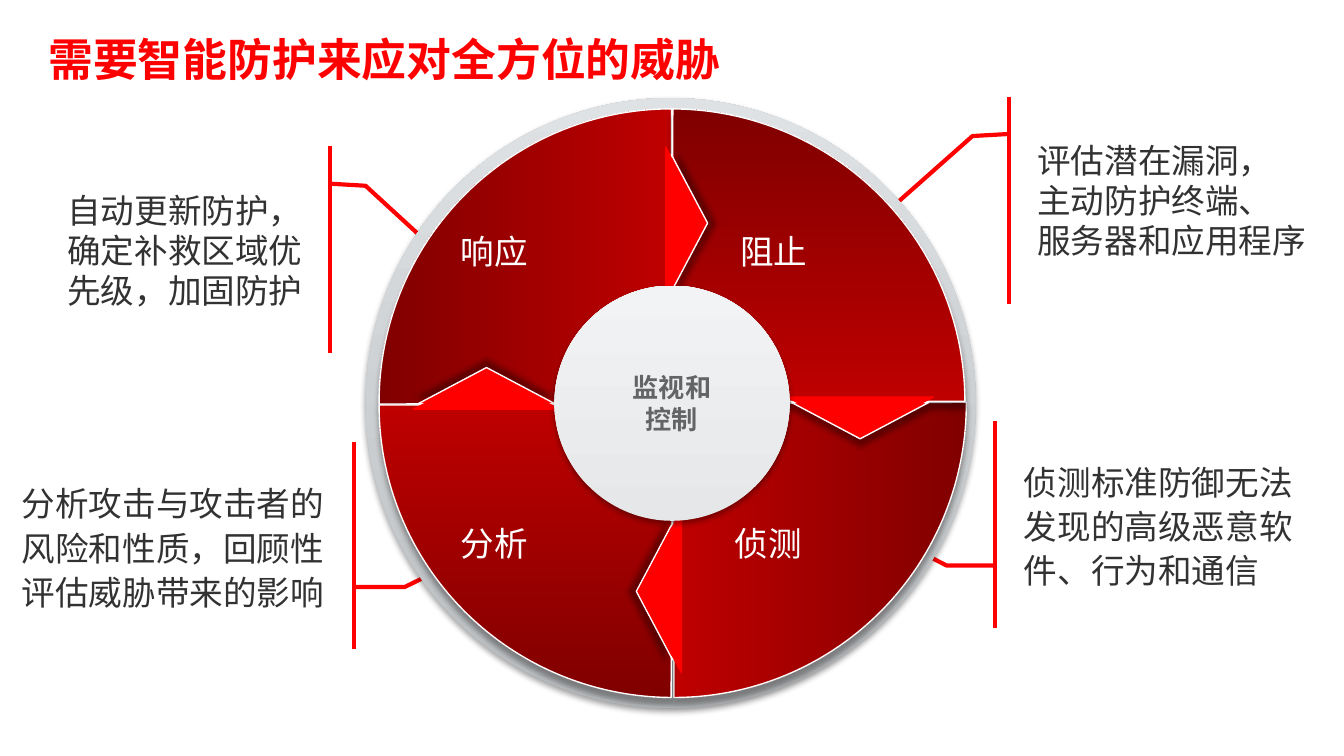
from math import cos, radians, sin

from lxml import etree
from pptx import Presentation
from pptx import util as u
from pptx.dml.color import RGBColor
from pptx.enum import shapes, text
from pptx.oxml.ns import qn

FONT = "Noto Sans CJK SC"
COLORS = {
    "red": "FF0000", "dark_red": "800000", "white": "FFFFFF", "body": "323233",
    "hub_text": "636466", "rim_low": "BBBEC1", "rim_high": "DFE2E4",
    "hub_low": "E6E7E8", "hub_high": "F2F3F5", "shadow": "000000",
}
CENTER = text.PP_ALIGN.CENTER
LEFT = text.PP_ALIGN.LEFT
RIGHT = text.PP_ALIGN.RIGHT


def rgb(name):
    """Return the named palette colour."""
    return RGBColor.from_string(COLORS[name])


def write(shape, words, size, color, align=LEFT, bold=False, spacing=None):
    """Put one formatted, vertically centred paragraph into a shape."""
    frame = shape.text_frame
    frame.word_wrap = True
    frame.vertical_anchor = text.MSO_ANCHOR.MIDDLE
    paragraph = frame.paragraphs[0]
    paragraph.text = words
    paragraph.alignment = align
    if spacing:
        paragraph.line_spacing = spacing
    for run in paragraph.runs:
        run.font.size = u.Pt(size)
        run.font.bold = bold
        run.font.name = FONT
        run.font.color.rgb = rgb(color)
        east_asian = etree.SubElement(run.font._element, qn("a:ea"))
        east_asian.set("typeface", FONT)


def add_preset(parent, kind, left, top, width, height, fill, line=None, weight=0.75):
    """Add a preset shape with a solid or two-colour gradient fill."""
    shape = parent.add_shape(kind, *map(u.Inches, (left, top, width, height)))
    shape.shadow.inherit = False
    if isinstance(fill, str):
        shape.fill.solid()
        shape.fill.fore_color.rgb = rgb(fill)
    else:
        start, end, angle = fill
        shape.fill.gradient()
        shape.fill.gradient_angle = angle
        for stop, color, position in zip(shape.fill.gradient_stops, (start, end), (0, 1)):
            stop.color.rgb = rgb(color)
            stop.position = position
    if line:
        shape.line.color.rgb = rgb(line)
        shape.line.width = u.Pt(weight)
    else:
        shape.line.fill.background()
    return shape


def cast_shadow(shape, distance, direction):
    """Give a shape a soft outer shadow."""
    effects = shape._element.spPr.find(qn("a:effectLst"))
    shadow = etree.SubElement(effects, qn("a:outerShdw"), {
        "blurRad": str(u.Pt(3.1)), "dist": str(u.Pt(distance)),
        "dir": str(direction * 60000), "rotWithShape": "0"})
    color = etree.SubElement(shadow, qn("a:srgbClr"), val=COLORS["shadow"])
    etree.SubElement(color, qn("a:alpha"), val="35000")


def add_title(slide, left, top, width, height):
    """Place and format the slide title."""
    title = slide.shapes.title
    title.left, title.top, title.width, title.height = map(
        u.Inches, (left, top, width, height))
    write(title, "需要智能防护来应对全方位的威胁", 24, "red", bold=True)
    title.text_frame.auto_size = text.MSO_AUTO_SIZE.NONE


def add_callout(slide, left, top, width, height, words, leader, flip=False,
                spacing=None, inset=0.1):
    """Add a text callout whose accent bar and leader point at the wheel."""
    callout = add_preset(slide.shapes, shapes.MSO_SHAPE.LINE_CALLOUT_2_ACCENT_BAR,
                         left, top, width, height, "white", "red", 2.25)
    for index, value in enumerate(leader):
        callout.adjustments[index] = value
    if flip:
        callout._element.spPr.find(qn("a:xfrm")).set("flipH", "1")
    callout.text_frame.margin_left = u.Inches(inset)
    write(callout, words, 18, "body", RIGHT if flip else LEFT, spacing=spacing)


def add_arrow(slide, center_x, center_y, angle, radius, cover_width, cover_height):
    """Add a clockwise arrowhead and the cover that hides its base line."""
    group = slide.shapes.add_group_shape()
    turn = radians(angle)
    for shift, width, height, line in ((0.13, 1.02, 0.27, "white"),
                                       (0.09, cover_width, cover_height, "red")):
        x = center_x + radius * sin(turn) + shift * cos(turn)
        y = center_y - radius * cos(turn) + shift * sin(turn)
        triangle = add_preset(group.shapes, shapes.MSO_SHAPE.ISOSCELES_TRIANGLE,
                              x - width / 2, y - height / 2, width, height, "red", line)
        triangle.rotation = (angle + 90) % 360
        if line == "white":
            cast_shadow(triangle, 3.8, angle)


def add_wheel(slide, left, top, size):
    """Draw the four-part cycle with its rim, arrows, hub and labels."""
    oval = shapes.MSO_SHAPE.OVAL
    rim = add_preset(slide.shapes, oval, left, top, size, size, ("rim_low", "rim_high", 90))
    cast_shadow(rim, 1.8, 90)

    for rotation, x, y, start in ((0, 0.12, 0.09, 359.69), (180, 0.1, 0.08, 359.69),
                                  (90, 0.11, 0.1, 0.32), (270, 0.1, 0.07, 0.32)):
        sector = add_preset(slide.shapes, shapes.MSO_SHAPE.PIE, left + x, top + y,
                            4.35, 4.37, ("red", "dark_red", 0), "white")
        sector.adjustments[0] = start * 0.6
        sector.adjustments[1] = 90.03 * 0.6
        sector.rotation = rotation
        cast_shadow(sector, 3.8, 90)

    center_x, center_y = left + size / 2 + 0.01, top + size / 2
    for arrow in ((0, 1.34, 1.13, 0.27), (180, 1.4, 1.21, 0.32),
                  (270, 1.38, 1.09, 0.27), (90, 1.4, 1.09, 0.27)):
        add_arrow(slide, center_x, center_y, *arrow)

    hub_size = 1.75
    hub = add_preset(slide.shapes, oval, center_x - hub_size / 2, center_y - hub_size / 2,
                     hub_size, hub_size, ("hub_low", "hub_high", 90))
    cast_shadow(hub, 1.8, 90)
    frame = hub.text_frame
    frame.margin_left = frame.margin_right = u.Inches(0.04)
    frame.margin_top = frame.margin_bottom = 0
    write(hub, "监视和\n控制", 14, "hub_text", CENTER, bold=True)

    for words, x, y in (("阻止", 2.69, 0.94), ("侦测", 2.65, 3.11),
                        ("响应", 0.61, 0.94), ("分析", 0.61, 3.11)):
        label = slide.shapes.add_textbox(
            *map(u.Inches, (left + x, top + y, 0.71, 0.4)))
        write(label, words, 18, "white")
        label.text_frame.vertical_anchor = text.MSO_ANCHOR.TOP
        label.text_frame.word_wrap = False
        label.text_frame.auto_size = text.MSO_AUTO_SIZE.SHAPE_TO_FIT_TEXT


def main():
    """Build and save the slide."""
    presentation = Presentation()
    presentation.slide_width = u.Inches(10)
    presentation.slide_height = u.Inches(10 * 9 / 16)
    slide = presentation.slides.add_slide(presentation.slide_layouts[5])
    upper = (0.18, -0.05, 0.19, -0.17, 0.58, -0.47)
    lower = (0.7, -0.05, 0.7, -0.2, 0.58, -0.35)
    add_callout(slide, 0, 3.29, 2.51, 1.54,
                "分析攻击与攻击者的风险和性质，回顾性评估威胁带来的影响",
                lower, flip=True, spacing=1.1, inset=0.12)
    add_callout(slide, 0.17, 1.09, 2.18, 1.54,
                "自动更新防护，确定补救区域优先级，加固防护", upper, flip=True)
    add_callout(slide, 7.52, 3.13, 2.39, 1.54,
                "侦测标准防御无法发现的高级恶意软件、行为和通信", lower, spacing=1.1)
    add_callout(slide, 7.62, 0.72, 2.26, 1.54,
                "评估潜在漏洞，\n主动防护终端、\n服务器和应用程序", upper)
    add_title(slide, 0.26, 0.15, 9.62, 0.57)
    add_wheel(slide, 2.72, 0.73, 4.54)
    presentation.save("out.pptx")


if __name__ == "__main__":
    main()
